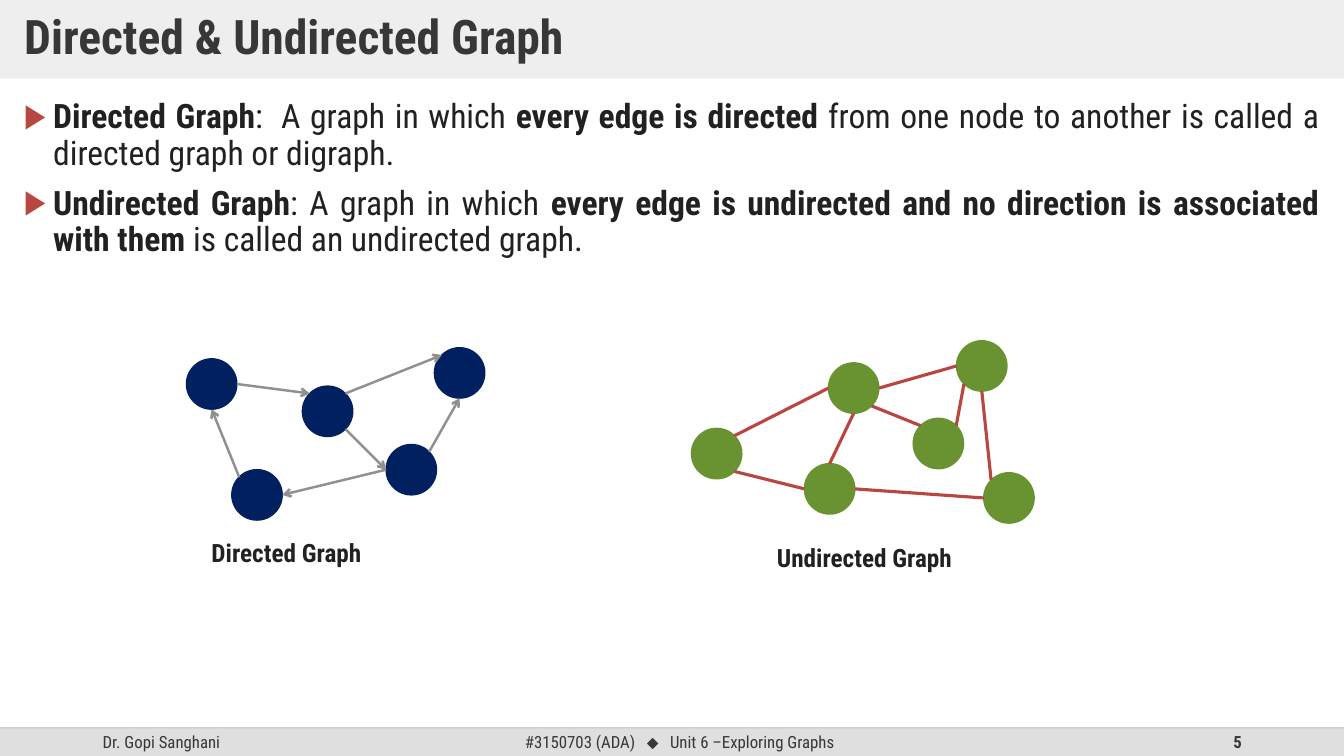
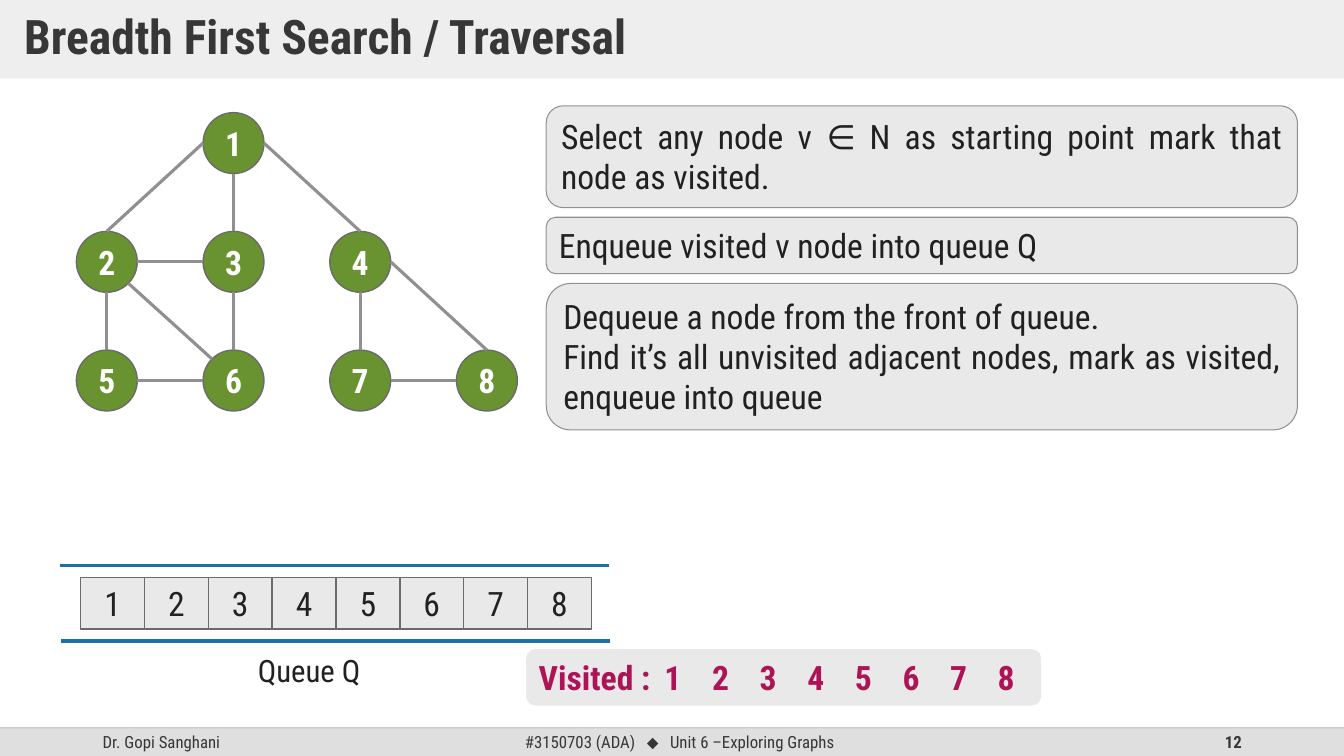
from dataclasses import dataclass
from math import sqrt

from lxml import etree
from pptx import Presentation
from pptx.dml.color import RGBColor
from pptx.enum import shapes, text
from pptx.oxml import ns
from pptx.util import Pt


@dataclass(frozen=True)
class Theme:
    font: str = "Roboto Condensed"
    symbol_font: str = "Arial"
    band: str = "DFDFDF"
    rule: str = "BFBFBF"
    heading: str = "373737"
    ink: str = "212121"
    white: str = "FFFFFF"
    panel: str = "E9E9E9"
    gray: str = "909090"
    outline: str = "6B6B6B"
    red: str = "B84742"
    green: str = "699331"
    navy: str = "002060"
    blue: str = "1D6FA9"
    crimson: str = "AD1457"
    title_size: int = 34
    body_size: int = 24
    queue_size: int = 22
    caption_size: int = 18
    footer_size: int = 12


THEME = Theme()
WIDTH, HEIGHT = 960, 540
FOOTER_TOP = 519.8
ALIGN = text.PP_ALIGN
ANCHOR = text.MSO_ANCHOR
SHAPE = shapes.MSO_SHAPE

AUTHOR = "Dr. Gopi Sanghani"
COURSE = [
    "#3150703 (ADA)",
    (" ", {"gap": 5.4}),
    ("⬥", {"font": THEME.symbol_font}),
    (" ", {"gap": 5.4}),
    "Unit 6 –Exploring Graphs",
]

BOLD = {"bold": True}
DEFINITIONS = [
    [("Directed Graph", BOLD), ":", (" ", {"gap": 6}), "A graph in which ",
     ("every edge is directed", BOLD),
     " from one node to another is called a directed graph or digraph."],
    [("Undirected Graph", BOLD), ": A graph in which ",
     ("every edge is undirected and no direction is associated with them ", BOLD),
     "is called an undirected graph."],
]

GRAPHS = [
    {
        "caption": "Directed Graph", "caption_box": (144, 380.2, 186, 42),
        "fill": THEME.navy, "edge": THEME.gray, "weight": 1.75, "arrow": True,
        "centers": {"A": (151.2, 274.3), "B": (234, 293.8), "C": (183.6, 353.5),
                    "D": (293.8, 335.5), "E": (328.3, 266.4)},
        "edges": ["A E B NW", "B SE D W", "D NE E S", "C NW A S", "B NE E NW", "D W C E"],
    },
    {
        "caption": "Undirected Graph", "caption_box": (547.9, 383.8, 229, 38),
        "fill": THEME.green, "edge": THEME.red, "weight": 2.25, "arrow": False,
        "centers": {"A": (609.8, 277.2), "B": (670.3, 316.8), "C": (592.6, 349.2),
                    "D": (720.7, 355.7), "E": (701.3, 261.4), "F": (511.9, 324)},
        "edges": ["F NE A W", "F SE C W", "B NE E SW", "A E E W",
                  "A S C N", "A SE B NW", "C E D W", "E S D NW"],
    },
]

TREE_GRID = {"1": (1, 0), "2": (0, 1), "3": (1, 1), "4": (2, 1),
             "5": (0, 2), "6": (1, 2), "7": (2, 2), "8": (3, 2)}
TREE_EDGES = ["1 S 3 N", "2 N 1 W", "1 E 4 N", "3 S 6 N", "2 S 5 N", "2 SE 6 NW",
              "2 E 3 W", "5 E 6 W", "7 E 8 W", "4 S 7 N", "4 E 8 N"]
STEPS = [
    (75.6, 72.7, ["Select any node v ∈ N as starting point mark that node as visited."]),
    (155.2, 40.3, ["Enqueue visited v node into queue Q"]),
    (202.5, 104.6, ["Dequeue a node from the front of queue.",
                    "Find it’s all unvisited adjacent nodes, mark as visited, enqueue into queue"]),
]
VISIT_ORDER = ["1", "2", "3", "4", "5", "6", "7", "8"]

DIAGONAL = 1 / sqrt(2)
COMPASS = {
    "N": (0, -1), "S": (0, 1), "W": (-1, 0), "E": (1, 0),
    "NW": (-DIAGONAL, -DIAGONAL), "NE": (DIAGONAL, -DIAGONAL),
    "SW": (-DIAGONAL, DIAGONAL), "SE": (DIAGONAL, DIAGONAL),
}


def rgb(color):
    return RGBColor.from_string(color)


def set_opacity(element, percent):
    for color in element.iter(ns.qn("a:srgbClr")):
        etree.SubElement(color, ns.qn("a:alpha")).set("val", str(percent * 1000))


def add_bullet(paragraph, color, indent):
    properties = paragraph._p.get_or_add_pPr()
    properties.set("marL", str(Pt(indent)))
    properties.set("indent", str(-Pt(indent)))
    bullet_color = etree.SubElement(properties, ns.qn("a:buClr"))
    etree.SubElement(bullet_color, ns.qn("a:srgbClr")).set("val", color)
    etree.SubElement(properties, ns.qn("a:buFont")).set("typeface", THEME.symbol_font)
    etree.SubElement(properties, ns.qn("a:buChar")).set("char", "▶")


def write(shape, paragraphs, *, size=THEME.body_size, color=THEME.ink, bold=False,
          align=ALIGN.LEFT, anchor=ANCHOR.TOP, insets=(7.2, 3.6),
          line_spacing=None, before=None, bullet=None):
    frame = shape.text_frame
    frame.word_wrap = True
    frame.vertical_anchor = anchor
    frame.margin_left = frame.margin_right = Pt(insets[0])
    frame.margin_top = frame.margin_bottom = Pt(insets[1])
    for index, runs in enumerate(paragraphs):
        paragraph = frame.add_paragraph() if index else frame.paragraphs[0]
        paragraph.alignment = align
        if line_spacing:
            paragraph.line_spacing = line_spacing
        if before is not None:
            paragraph.space_before = Pt(before)
        if bullet:
            add_bullet(paragraph, bullet, 20.9)
        for part in [runs] if isinstance(runs, str) else runs:
            words, changes = (part, {}) if isinstance(part, str) else part
            run = paragraph.add_run()
            run.text = words
            run.font.name = changes.get("font", THEME.font)
            run.font.size = Pt(size)
            run.font.bold = changes.get("bold", bold)
            run.font.color.rgb = rgb(color)
            if "gap" in changes:
                run.font._element.set("spc", str(round(changes["gap"] * 100)))


def add_text(slide, box, paragraphs, **style):
    label = slide.shapes.add_textbox(*map(Pt, box))
    write(label, paragraphs, **style)


def add_block(slide, kind, box, fill, outline=None, weight=1):
    block = slide.shapes.add_shape(kind, *map(Pt, box))
    block.shadow.inherit = False
    block.fill.solid()
    block.fill.fore_color.rgb = rgb(fill)
    if outline:
        block.line.color.rgb = rgb(outline)
        block.line.width = Pt(weight)
    else:
        block.line.fill.background()
    return block


def add_line(slide, start, end, color, weight, arrow=False):
    line = slide.shapes.add_connector(
        shapes.MSO_CONNECTOR.STRAIGHT, *map(Pt, (*start, *end)))
    line.line.color.rgb = rgb(color)
    line.line.width = Pt(weight)
    if arrow:
        etree.SubElement(line.line._get_or_add_ln(), ns.qn("a:tailEnd")).set("type", "arrow")
    etree.SubElement(line._element.spPr, ns.qn("a:effectLst"))
    return line


def add_graph(slide, centers, edges, diameter, fill, outline, edge_color, weight,
              arrow=False, labelled=False):
    radius = diameter / 2
    for name, (x, y) in centers.items():
        node = add_block(slide, SHAPE.OVAL,
                         (x - radius, y - radius, diameter, diameter), fill, outline)
        if labelled:
            write(node, [name], color=THEME.white, bold=True,
                  align=ALIGN.CENTER, anchor=ANCHOR.MIDDLE)

    def rim(name, side):
        return [c + radius * d for c, d in zip(centers[name], COMPASS[side])]

    for edge in edges:
        source, leave, target, enter = edge.split()
        add_line(slide, rim(source, leave), rim(target, enter), edge_color, weight, arrow)


def start_slide(deck, heading, number):
    slide = deck.slides.add_slide(deck.slide_layouts[5])
    add_block(slide, SHAPE.RECTANGLE,
              (0, FOOTER_TOP, WIDTH, HEIGHT - FOOTER_TOP), THEME.band)
    for left, width, content, align, bold in (
        (66.2, 216, AUTHOR, ALIGN.LEFT, False),
        (317, 337, COURSE, ALIGN.CENTER, False),
        (678.2, 216, number, ALIGN.RIGHT, True),
    ):
        add_text(slide, (left, FOOTER_TOP, width, HEIGHT - FOOTER_TOP), [content],
                 size=THEME.footer_size, color=THEME.heading, bold=bold,
                 align=align, anchor=ANCHOR.MIDDLE)
    rule = add_line(slide, (0, FOOTER_TOP), (WIDTH, FOOTER_TOP), THEME.rule, 1)
    set_opacity(rule._element.spPr, 70)

    title = slide.shapes.title
    title.left, title.top, title.width, title.height = map(Pt, (0, 0, WIDTH, 56))
    title.fill.solid()
    title.fill.fore_color.rgb = rgb(THEME.band)
    set_opacity(title._element.spPr, 50)
    write(title, [heading], size=THEME.title_size, color=THEME.heading, bold=True,
          anchor=ANCHOR.MIDDLE, insets=(17.3, 8.6), line_spacing=0.9)
    return slide


def build_graph_types(deck):
    slide = start_slide(deck, "Directed & Undirected Graph", "5")
    add_text(slide, (10, 67.7, 939.6, 125), DEFINITIONS, align=ALIGN.JUSTIFY,
             line_spacing=0.9, before=10, bullet=THEME.red)
    for graph in GRAPHS:
        add_graph(slide, graph["centers"], graph["edges"], 36, graph["fill"],
                  graph["fill"], graph["edge"], graph["weight"], graph["arrow"])
        add_text(slide, graph["caption_box"], [graph["caption"]],
                 size=THEME.caption_size, bold=True)


def build_traversal(deck):
    slide = start_slide(deck, "Breadth First Search / Traversal", "12")
    centers = {name: (76.3 + 90.5 * column, 102.2 + 84.8 * row)
               for name, (column, row) in TREE_GRID.items()}
    add_graph(slide, centers, TREE_EDGES, 43.5, THEME.green, THEME.outline,
              THEME.gray, 2.25, labelled=True)

    for top, height, sentences in STEPS:
        step = add_block(slide, SHAPE.ROUNDED_RECTANGLE, (390.2, top, 536.6, height),
                         THEME.panel, THEME.gray, 0.75)
        write(step, sentences, align=ALIGN.JUSTIFY)

    visited = add_block(slide, SHAPE.ROUNDED_RECTANGLE,
                        (375.8, 463.7, 368, 40.3), THEME.panel)
    write(visited, ["Visited :"], color=THEME.crimson, bold=True)
    for index, name in enumerate(VISIT_ORDER):
        cell = add_block(slide, SHAPE.RECTANGLE, (57.6 + 45.6 * index, 412.6, 45.6, 36.7),
                         THEME.panel, THEME.outline)
        write(cell, [name], align=ALIGN.CENTER, anchor=ANCHOR.MIDDLE)
        mark = add_block(slide, SHAPE.RECTANGLE, (463.7 + 34 * index, 465.8, 34, 36),
                         THEME.panel)
        write(mark, [name], color=THEME.crimson, bold=True, align=ALIGN.CENTER)

    for left, y in ((43.2, 403.9), (43.9, 457.9)):
        add_line(slide, (left, y), (left + 391.7, y), THEME.blue, 2.25)
    add_text(slide, (177.1, 462.2, 96.5, 33.8), ["Queue Q"], size=THEME.queue_size)


def main():
    deck = Presentation()
    deck.slide_width, deck.slide_height = Pt(WIDTH), Pt(HEIGHT)
    build_graph_types(deck)
    build_traversal(deck)
    deck.save("out.pptx")


if __name__ == "__main__":
    main()
